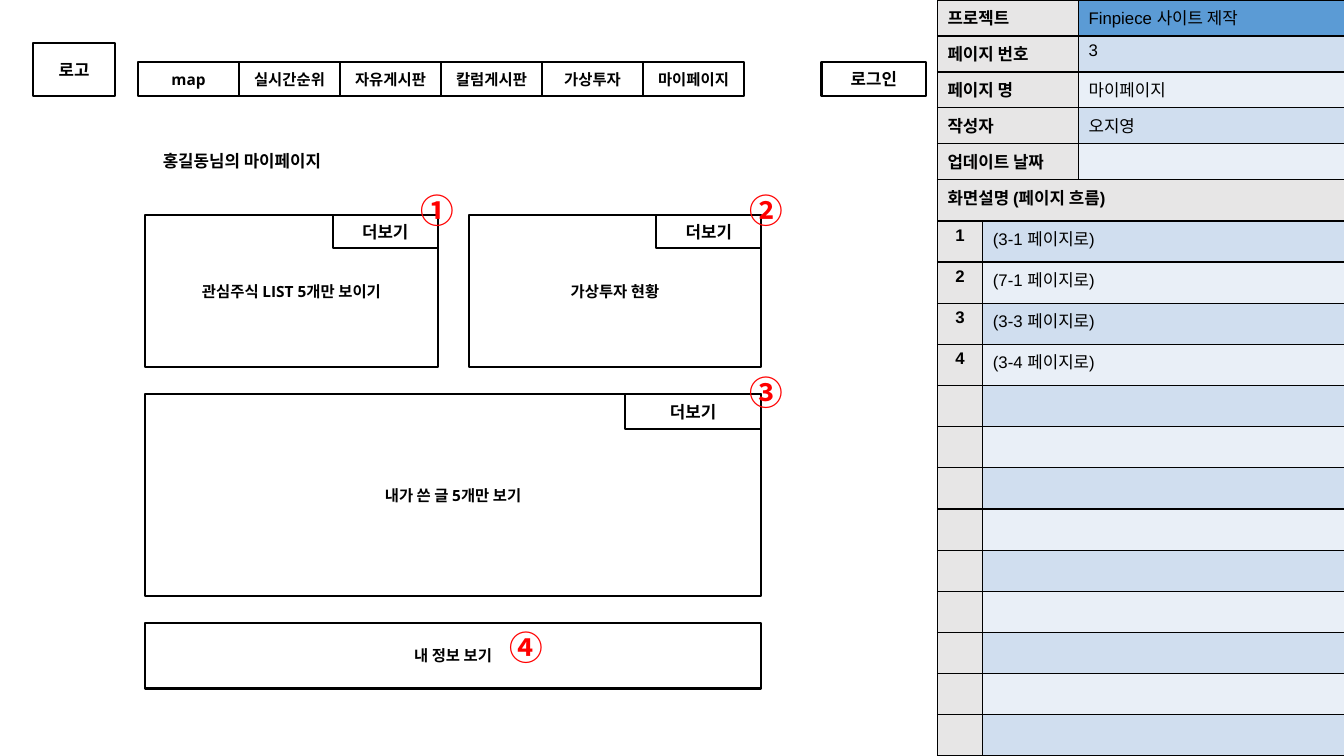
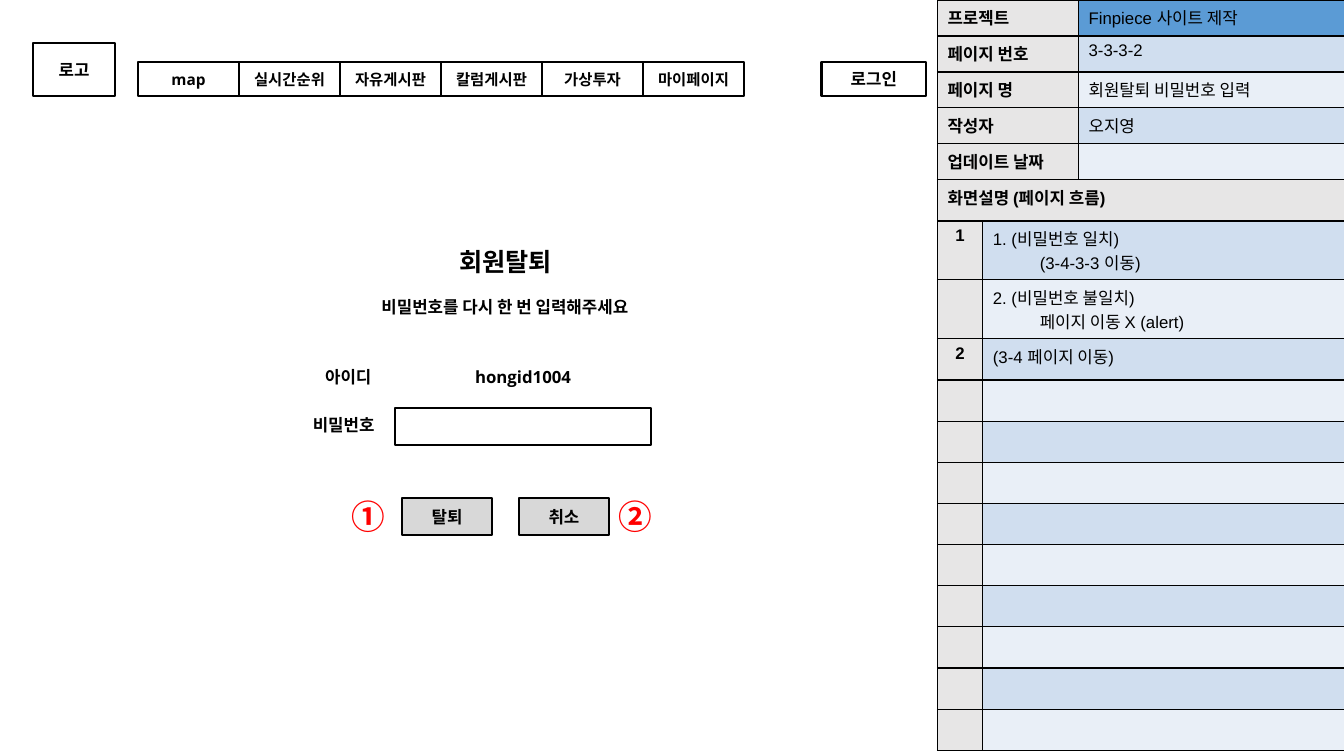
from lxml import etree
from pptx import Presentation
from pptx.dml.color import RGBColor
from pptx.enum import shapes, text
from pptx.oxml import ns
from pptx.util import Pt

BLACK, RED, GRAY, BUTTON = "000000", "FF0000", "E7E6E6", "D8D8D8"
BLUE, STRIPES = "5B9BD5", ("D0DEEF", "E9EFF7")
BODY, TABLE, KOREAN = "Open Sans", "Arial", "Noto Sans CJK KR"

MENU = ["map", "실시간순위", "자유게시판", "칼럼게시판", "가상투자", "마이페이지"]
INFO_LABELS = ["프로젝트", "페이지 번호", "페이지 명", "작성자", "업데이트 날짜"]
PROJECT, AUTHOR = "Finpiece 사이트 제작", "오지영"
FLOW_TITLE = "화면설명 (페이지 흐름)"

PANEL_X, INFO_ROW, FLOW_TOP, FLOW_ROW, TWO_LINE_ROW = 669.6, 25.7, 128.4, 29.4, 42.1
INFO_COLS, FLOW_COLS = (100.8, 190), (32.4, 258.4)
MENU_X, MENU_Y, MENU_W, MENU_H = 98.6, 44.6, 72.15, 23.8

PAGES = [
    {
        "number": "3",
        "name": "마이페이지",
        "flow": [("1", ["(3-1 페이지로)"]), ("2", ["(7-1 페이지로)"]),
                 ("3", ["(3-3 페이지로)"]), ("4", ["(3-4 페이지로)"])],
        "flow_rows": 13,
        "labels": [("홍길동님의 마이페이지", 52.6, 101.5, 240.5, 26.6, 12)],
        "boxes": [
            ("관심주식 LIST 5개만 보이기", 103.7, 153.4, 209, 108.7, 11, None),
            ("더보기", 237.8, 153.4, 74.9, 23.8, 12, None),
            ("가상투자 현황", 334.8, 153.4, 209, 108.7, 11, None),
            ("더보기", 468.9, 153.4, 74.9, 23.8, 12, None),
            ("내가 쓴 글 5개만 보기", 103.7, 281.5, 440, 144.2, 11, None),
            ("더보기", 446.4, 281.5, 97.3, 24.8, 12, None),
            ("내 정보 보기", 103.7, 445, 440, 46.8, 11, None),
        ],
        "markers": [("①", 293, 131.8), ("②", 528.5, 131.8),
                    ("③", 528.5, 262.1), ("④", 357.1, 444.2)],
    },
    {
        "number": "3-3-3-2",
        "name": "회원탈퇴 비밀번호 입력",
        "flow": [("1", ["1. (비밀번호 일치)", "(3-4-3-3 이동)"]),
                 ("", ["2. (비밀번호 불일치)", "페이지 이동 X (alert)"]),
                 ("2", ["(3-4 페이지 이동)"])],
        "flow_rows": 12,
        "labels": [
            ("회원탈퇴", 295.9, 173.5, 130.3, 26.6, 18),
            ("비밀번호를 다시 한 번 입력해주세요", 208.1, 205.9, 305.3, 26.6, 12),
            ("아이디", 218.9, 255.6, 59.8, 26.6, 12),
            ("hongid1004", 282.2, 255.6, 182.9, 26.6, 12),
            ("비밀번호", 208.1, 290.2, 74.9, 26.6, 12),
        ],
        "boxes": [
            ("", 282.2, 291.6, 182.9, 26.6, 12, None),
            ("탈퇴", 287.3, 355.7, 64.1, 26.6, 12, BUTTON),
            ("취소", 370.8, 355.7, 64.1, 26.6, 12, BUTTON),
        ],
        "markers": [("①", 244.1, 350.6), ("②", 434.9, 350.6)],
    },
]


def rgb(color):
    return RGBColor.from_string(color)


def add_run(p, words, size, font, color=BLACK, bold=True):
    r = p.add_run()
    r.text = words
    r.font.size, r.font.bold, r.font.name = Pt(size), bold, font
    r.font.color.rgb = rgb(color)
    ea = etree.SubElement(r.font._element, ns.qn("a:ea"))
    ea.set("typeface", KOREAN)


def set_frame(tf, inset, anchor):
    tf.word_wrap = True
    tf.vertical_anchor = anchor
    tf.margin_left = tf.margin_right = Pt(7.2)
    tf.margin_top = tf.margin_bottom = Pt(inset)


def put_centered(sp, words, size):
    set_frame(sp.text_frame, 7.2, text.MSO_ANCHOR.MIDDLE)
    p = sp.text_frame.paragraphs[0]
    p.alignment = text.PP_ALIGN.CENTER
    if words:
        add_run(p, words, size, BODY)


def add_label(s, words, x, y, w, h, size):
    put_centered(s.shapes.add_textbox(Pt(x), Pt(y), Pt(w), Pt(h)), words, size)


def add_box(s, words, x, y, w, h, size=12, fill=None):
    sp = s.shapes.add_shape(shapes.MSO_SHAPE.RECTANGLE, Pt(x), Pt(y), Pt(w), Pt(h))
    sp.shadow.inherit = False
    if fill:
        sp.fill.solid()
        sp.fill.fore_color.rgb = rgb(fill)
    else:
        sp.fill.background()
    sp.line.color.rgb = rgb(BLACK)
    sp.line.width = Pt(1.5)
    put_centered(sp, words, size)


def add_marker(s, words, x, y):
    tf = s.shapes.add_textbox(Pt(x), Pt(y), Pt(43.2), Pt(36)).text_frame
    set_frame(tf, 3.6, text.MSO_ANCHOR.TOP)
    add_run(tf.paragraphs[0], words, 24, KOREAN, RED)


def fill_cell(cell, lines, fill, bold, align):
    tc_pr = cell._tc.get_or_add_tcPr()
    for side in ("lnL", "lnR", "lnT", "lnB"):
        ln = etree.SubElement(tc_pr, ns.qn("a:" + side), w=str(Pt(1)))
        solid = etree.SubElement(ln, ns.qn("a:solidFill"))
        etree.SubElement(solid, ns.qn("a:srgbClr"), val=BLACK)
    cell.fill.solid()
    cell.fill.fore_color.rgb = rgb(fill)
    for i, line in enumerate(lines):
        p = cell.text_frame.paragraphs[0] if i == 0 else cell.text_frame.add_paragraph()
        p.alignment = align
        if i:
            p._p.get_or_add_pPr().set("marL", str(Pt(33.5)))
        if line:
            add_run(p, line, 12, TABLE, bold=bold)
        else:
            etree.SubElement(p._p, ns.qn("a:endParaRPr"), sz="1200")


def add_grid(s, y, widths, heights, rows, key_align):
    frame = s.shapes.add_table(len(rows), len(widths), Pt(PANEL_X), Pt(y),
                               Pt(sum(widths)), Pt(sum(heights)))
    table = frame.table
    table.first_row = table.horz_banding = False
    for column, width in zip(table.columns, widths):
        column.width = Pt(width)
    for row, height, (key, lines, fill) in zip(table.rows, heights, rows):
        row.height = Pt(height)
        align = text.PP_ALIGN.LEFT if key == FLOW_TITLE else key_align
        fill_cell(row.cells[0], [key], GRAY, True, align)
        fill_cell(row.cells[1], lines, fill, False, text.PP_ALIGN.LEFT)
    return table


def add_panel(s, page):
    values = [PROJECT, page["number"], page["name"], AUTHOR, ""]
    fills = [BLUE] + list(STRIPES) * 2
    info = [(key, [value], fill) for key, value, fill in zip(INFO_LABELS, values, fills)]
    add_grid(s, 0, INFO_COLS, [INFO_ROW] * len(info), info, text.PP_ALIGN.LEFT)

    steps = page["flow"] + [("", [""])] * (page["flow_rows"] - len(page["flow"]))
    flow = [(FLOW_TITLE, [""], GRAY)]
    flow += [(key, lines, STRIPES[i % 2]) for i, (key, lines) in enumerate(steps)]
    heights = [TWO_LINE_ROW if len(lines) > 1 else FLOW_ROW for _, lines, _ in flow]
    table = add_grid(s, FLOW_TOP, FLOW_COLS, heights, flow, text.PP_ALIGN.CENTER)
    table.cell(0, 0).merge(table.cell(0, 1))


def add_header(s):
    add_box(s, "로고", 23.8, 31, 58.3, 37.4)
    add_box(s, "로그인", 586.8, MENU_Y, 74.9, MENU_H)
    for i, item in enumerate(MENU):
        add_box(s, item, MENU_X + i * MENU_W, MENU_Y, MENU_W, MENU_H, 11)


def main():
    prs = Presentation()
    prs.slide_width, prs.slide_height = Pt(960), Pt(540)
    for page in PAGES:
        s = prs.slides.add_slide(prs.slide_layouts[6])
        add_panel(s, page)
        for label in page["labels"]:
            add_label(s, *label)
        for box in page["boxes"]:
            add_box(s, *box)
        for marker in page["markers"]:
            add_marker(s, *marker)
        add_header(s)
    prs.save("out.pptx")


if __name__ == "__main__":
    main()
